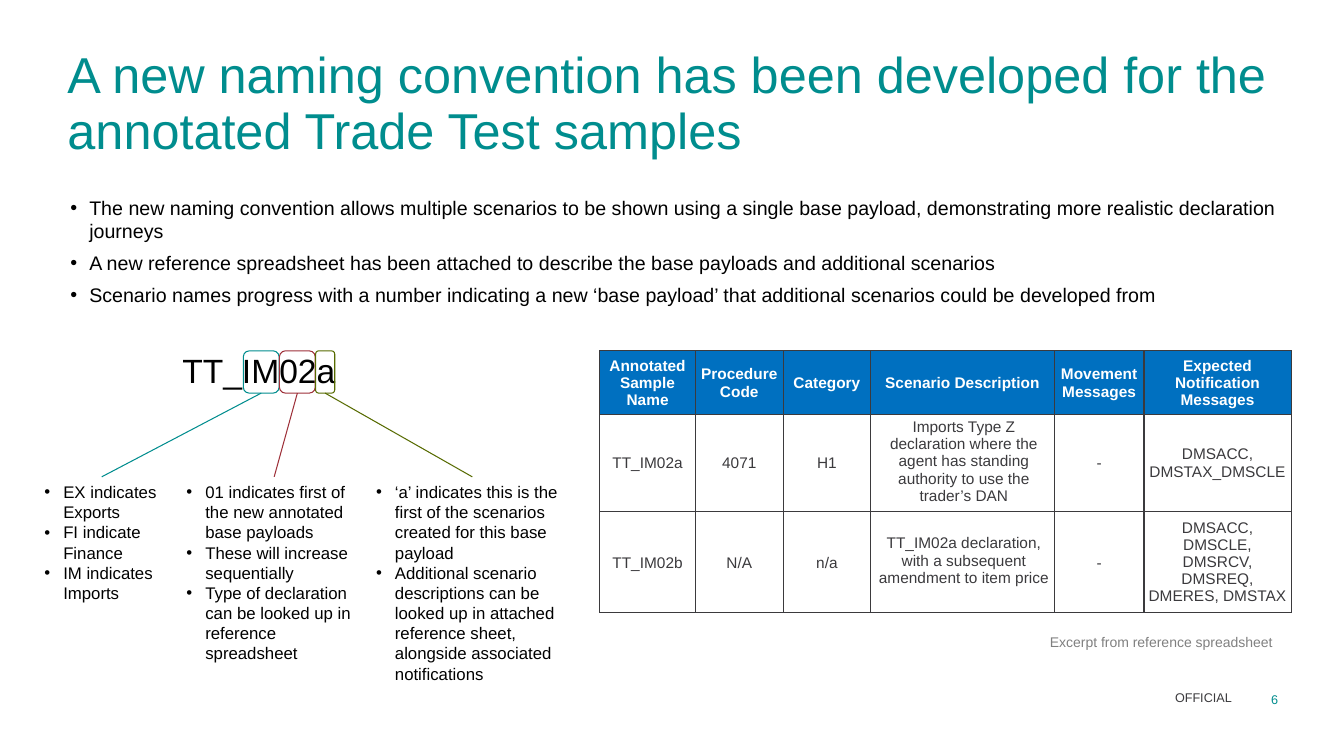
from lxml.etree import SubElement
from pptx import Presentation
from pptx.dml.color import RGBColor
from pptx.enum.shapes import MSO_CONNECTOR, MSO_SHAPE
from pptx.enum.text import MSO_ANCHOR, MSO_AUTO_SIZE, PP_ALIGN
from pptx.oxml.ns import qn
from pptx.util import Pt

# Content
FONT = "Arial"
COLOURS = {
    "teal": "008D8E", "red": "9E3039", "olive": "576B00", "header": "0070C0",
    "dark": "3B3A3D", "grey": "808080", "black": "000000", "white": "FFFFFF",
}
TITLE = "A new naming convention has been developed for the annotated Trade Test samples"
SUMMARY = [
    "The new naming convention allows multiple scenarios to be shown using a single base payload, "
    "demonstrating more realistic declaration journeys",
    "A new reference spreadsheet has been attached to describe the base payloads and additional scenarios",
    "Scenario names progress with a number indicating a new ‘base payload’ that additional scenarios "
    "could be developed from",
]
SAMPLE_NAME = "TT_IM02a"
# Colour, marker left and width, notes left, width and height, notes
NAME_PARTS = [
    ("teal", 173.8, 25.6, 31.7, 82, 94.3,
     ["EX indicates Exports", "FI indicate Finance", "IM indicates Imports"]),
    ("red", 199.6, 25.6, 133.2, 125.3, 138.2,
     ["01 indicates first of the new annotated base payloads",
      "These will increase sequentially",
      "Type of declaration can be looked up in reference spreadsheet"]),
    ("olive", 225.4, 13.7, 268.6, 137.5, 152.6,
     ["‘a’ indicates this is the first of the scenarios created for this base payload",
      "Additional scenario descriptions can be looked up in attached reference sheet, "
      "alongside associated notifications"]),
]
SAMPLES = [
    ["Annotated Sample Name", "Procedure Code", "Category", "Scenario Description",
     "Movement Messages", "Expected Notification Messages"],
    ["TT_IM02a", "4071", "H1",
     "Imports Type Z declaration where the agent has standing authority to use the trader’s DAN",
     "-", "DMSACC, DMSTAX_DMSCLE"],
    ["TT_IM02b", "N/A", "n/a",
     "TT_IM02a declaration, with a subsequent amendment to item price",
     "-", "DMSACC, DMSCLE, DMSRCV, DMSREQ, DMERES, DMSTAX"],
]
COLUMN_WIDTHS = [68.4, 62.6, 62.6, 131.1, 64.1, 105.1]
ROW_HEIGHTS = [45.4, 69.4, 71.4]
HEADER_MARGINS = (0.9, 0.7, 0.9, 0)
BODY_MARGINS = {3: (2.9, 0.7, 0.9, 2.9), 5: (2.9, 2.9, 2.9, 2.9)}
EXCERPT = "Excerpt from reference spreadsheet"

# Shared positions
ROW_TOP = 250.6
MARKER_HEIGHT = 30.2
NOTES_TOP = 340.6
INDENT = 13.5


def rgb(name):
    return RGBColor.from_string(COLOURS[name])


def set_margins(item, margins):
    item.margin_left, item.margin_top, item.margin_right, item.margin_bottom = map(Pt, margins)


def add_span(para, text, size, colour, bold=False):
    span = para.add_run()
    span.text = text
    span.font.name, span.font.size, span.font.bold = FONT, Pt(size), bold
    span.font.color.rgb = rgb(colour)


def add_bullet(para):
    properties = para._p.get_or_add_pPr()
    properties.set("marL", str(Pt(INDENT)))
    properties.set("indent", str(-Pt(INDENT)))
    SubElement(properties, qn("a:buFont")).set("typeface", FONT)
    SubElement(properties, qn("a:buChar")).set("char", "•")


def add_text(page, bounds, lines, size, colour="black", margins=(7.2, 3.6, 7.2, 3.6),
             align=PP_ALIGN.LEFT, anchor=MSO_ANCHOR.TOP, bullets=False, after=0):
    box = page.shapes.add_textbox(*map(Pt, bounds))
    frame = box.text_frame
    frame.word_wrap = True
    frame.vertical_anchor = anchor
    set_margins(frame, margins)
    for number, line in enumerate(lines):
        para = frame.add_paragraph() if number else frame.paragraphs[0]
        para.alignment = align
        para.space_after = Pt(after)
        if bullets:
            add_bullet(para)
        add_span(para, line, size, colour)
    return box


def add_borders(cell):
    properties = cell._tc.get_or_add_tcPr()
    for number, side in enumerate(("a:lnL", "a:lnR", "a:lnT", "a:lnB")):
        line = properties.makeelement(qn(side), {"w": str(Pt(1))})
        fill = SubElement(line, qn("a:solidFill"))
        SubElement(fill, qn("a:srgbClr")).set("val", COLOURS["dark"])
        properties.insert(number, line)


def add_title(page):
    title = page.shapes.title
    title.left, title.top, title.width, title.height = map(Pt, (48.2, 33.8, 864, 65.5))
    frame = title.text_frame
    frame.auto_size = MSO_AUTO_SIZE.NONE
    frame.word_wrap = True
    frame.vertical_anchor = MSO_ANCHOR.TOP
    set_margins(frame, (0, 0, 0, 0))
    para = frame.paragraphs[0]
    para.alignment = PP_ALIGN.LEFT
    para.line_spacing = Pt(40)
    para.space_before, para.space_after = Pt(0), Pt(6)
    add_span(para, TITLE, 36, "teal")


def add_name_part(page, colour, left, width, notes_left, notes_width, notes_height, notes):
    marker = page.shapes.add_shape(MSO_SHAPE.ROUNDED_RECTANGLE, Pt(left), Pt(ROW_TOP),
                                   Pt(width), Pt(MARKER_HEIGHT))
    marker.shadow.inherit = False
    marker.fill.background()
    marker.line.color.rgb = rgb(colour)
    marker.line.width = Pt(0.75)
    box = add_text(page, (notes_left, NOTES_TOP, notes_width, notes_height), notes, 12,
                   margins=(0, 3.6, 0, 3.6), bullets=True)
    link = page.shapes.add_connector(MSO_CONNECTOR.STRAIGHT, 0, 0, 0, 0)
    link.begin_connect(marker, 2)
    link.end_connect(box, 0)
    link.line.color.rgb = rgb(colour)
    link.line.width = Pt(0.75)
    SubElement(link._element.spPr, qn("a:effectLst"))


def add_samples(page):
    table = page.shapes.add_table(len(SAMPLES), len(COLUMN_WIDTHS), Pt(428.4), Pt(ROW_TOP),
                                  Pt(sum(COLUMN_WIDTHS)), Pt(sum(ROW_HEIGHTS))).table
    table.horz_banding = False
    for column, width in zip(table.columns, COLUMN_WIDTHS):
        column.width = Pt(width)
    for number, (row, height) in enumerate(zip(table.rows, ROW_HEIGHTS)):
        row.height = Pt(height)
        header = number == 0
        for place, cell in enumerate(row.cells):
            set_margins(cell, HEADER_MARGINS if header else BODY_MARGINS.get(place, HEADER_MARGINS))
            cell.vertical_anchor = MSO_ANCHOR.MIDDLE
            if header:
                cell.fill.solid()
                cell.fill.fore_color.rgb = rgb("header")
            else:
                cell.fill.background()
            add_borders(cell)
            para = cell.text_frame.paragraphs[0]
            para.alignment = PP_ALIGN.CENTER
            add_span(para, SAMPLES[number][place], 11, "white" if header else "dark", header)


def main():
    deck = Presentation()
    deck.slide_width, deck.slide_height = Pt(960), Pt(540)
    page = deck.slides.add_slide(deck.slide_layouts[5])

    # Title and summary
    add_title(page)
    add_text(page, (43.2, 136.1, 879.1, 100), SUMMARY, 14, bullets=True, after=6)

    # Sample name with its parts explained
    add_text(page, (123.1, 246.2, 126, 36), [SAMPLE_NAME], 24)
    for part in NAME_PARTS:
        add_name_part(page, *part)

    # Reference table and caption
    add_samples(page)
    add_text(page, (741.6, 449.3, 180, 19.4), [EXCERPT], 10, "grey",
             margins=(7.2, 3.6, 12.8, 3.6), align=PP_ALIGN.RIGHT)

    # Footer
    flush = {"margins": (0, 0, 0, 0), "align": PP_ALIGN.RIGHT}
    add_text(page, (173.5, 490.3, 706.3, 15.8), ["OFFICIAL"], 9, "dark",
             anchor=MSO_ANCHOR.MIDDLE, **flush)
    add_text(page, (888.5, 493.9, 24.5, 10.8), ["6"], 9, "teal", **flush)

    deck.save("out.pptx")


if __name__ == "__main__":
    main()
